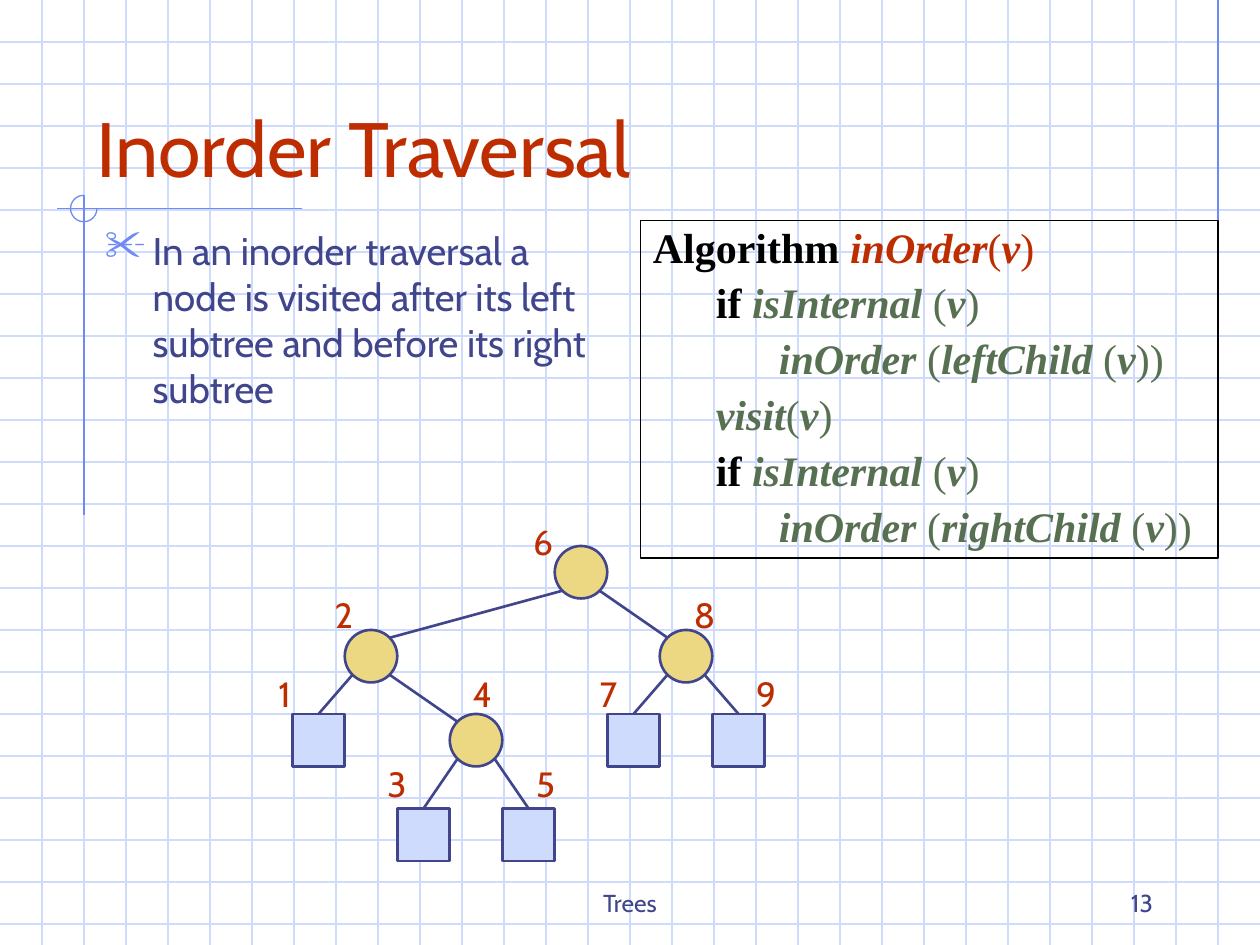
from lxml.etree import SubElement
from pptx import Presentation
from pptx.dml.color import RGBColor
from pptx.enum.shapes import MSO_CONNECTOR, MSO_SHAPE
from pptx.enum.text import MSO_ANCHOR, PP_ALIGN
from pptx.oxml.ns import qn
from pptx.util import Inches, Pt

COLS, ROWS = 30, 22.5
SIDE = 1.25
HUES = {
    "grid": "CFDBFD", "rule": "6F89F7", "ink": "40458C", "red": "BE2D00",
    "gold": "ECD882", "green": "577052", "black": "000000",
}
LEVELS = [13, 15, 17, 19.25]
LABELS = [12.24, 13.98, 15.87, 18]
NODES = {
    1: (2, 2, 6.24), 2: (1, 6, 7.65), 3: (3, 4, 8.91),
    4: (2, 2, 10.95), 5: (3, 4, 12.45), 6: (0, None, 12.39),
    7: (2, 8, 13.95), 8: (1, 6, 16.23), 9: (2, 8, 17.7),
}
CODE = [
    (0, "Algorithm |inOrder|(|v|)"),
    (1, "if |isInternal |(|v|)"),
    (2, "inOrder| (|leftChild |(|v|))"),
    (1, "visit|(|v|)"),
    (1, "if |isInternal |(|v|)"),
    (2, "inOrder| (|rightChild |(|v|))"),
]


def cell(num):
    """Turn a count of grid cells into a length."""
    return Inches(num / 3)


def hue(name):
    """Look up a colour by name."""
    return RGBColor.from_string(HUES[name])


def line(slide, ends, color, width=0.75):
    """Draw a straight line between two grid points."""
    link = slide.shapes.add_connector(MSO_CONNECTOR.STRAIGHT, *map(cell, ends))
    link.line.color.rgb = hue(color)
    link.line.width = Pt(width)
    SubElement(link._element.spPr, qn("a:effectLst"))


def shape(slide, kind, box, color, width=0.75, fill=None):
    """Draw a preset shape in a box of grid cells."""
    item = slide.shapes.add_shape(kind, *map(cell, box))
    item.shadow.inherit = False
    item.line.color.rgb = hue(color)
    item.line.width = Pt(width)
    if fill:
        item.fill.solid()
        item.fill.fore_color.rgb = hue(fill)
    else:
        item.fill.background()
    return item


def write(para, text, size=14, color="ink", font="Cabin", bold=False, slant=False):
    """Add one run of formatted text to a paragraph."""
    run = para.add_run()
    run.text = text
    run.font.size, run.font.name = Pt(size), font
    run.font.bold, run.font.italic = bold, slant
    run.font.color.rgb = hue(color)


def label(slide, box, text, align=PP_ALIGN.LEFT, anchor=MSO_ANCHOR.TOP, wrap=True, **style):
    """Add a text box and return its paragraph."""
    frame = slide.shapes.add_textbox(*map(cell, box)).text_frame
    frame.word_wrap, frame.vertical_anchor = wrap, anchor
    para = frame.paragraphs[0]
    para.alignment = align
    write(para, text, **style)
    return para


def bullet(para, char, color):
    """Give a paragraph a hanging bullet."""
    props = para._p.get_or_add_pPr()
    props.set("marL", str(Inches(0.38)))
    props.set("indent", str(-Inches(0.38)))
    tint = SubElement(props, qn("a:buClr"))
    SubElement(tint, qn("a:srgbClr"), val=HUES[color])
    SubElement(props, qn("a:buSzPct"), val="110000")
    SubElement(props, qn("a:buChar"), char=char)


def paper(slide):
    """Draw the squared paper and its margin rules."""
    for row in range(1, 23):
        line(slide, (0, row, COLS, row), "grid")
    for col in range(1, 30):
        line(slide, (col, 0, col, ROWS), "grid")
    for ends in [(29, 0, 29, 7.74), (7.2, 4.97, 1.35, 4.97), (2, 4.65, 2, 12.27)]:
        line(slide, ends, "rule")
    arc = shape(slide, MSO_SHAPE.ARC, (1.68, 4.65, 0.63, 0.63), "rule")
    arc.adjustments[0], arc.adjustments[1] = 0, 162


def code(slide):
    """Write the framed algorithm."""
    frame = shape(slide, MSO_SHAPE.RECTANGLE, (15.25, 5.25, 13.75, 8.04), "black").text_frame
    frame.word_wrap, frame.vertical_anchor = True, MSO_ANCHOR.TOP
    for row, (depth, text) in enumerate(CODE):
        para = frame.add_paragraph() if row else frame.paragraphs[0]
        para.alignment, para.level, para.line_spacing = PP_ALIGN.LEFT, depth, 0.9
        para._p.get_or_add_pPr().set("marL", str(Inches(depth / 2)))
        if row:
            para.space_before = Pt(6)
        for part in text.split("|"):
            word = part in ("Algorithm ", "if ")
            name = not word and "(" not in part and ")" not in part
            color = "black" if word else "green" if row else "red"
            write(para, part, size=24, color=color, font="Times New Roman",
                  bold=word or name, slant=name)


def spot(num):
    """Find the left and top of a node from its visit number."""
    return 6.96 + (num - 1) * SIDE, LEVELS[NODES[num][0]]


def edge(slide, num, mum, inner):
    """Join a node to its parent."""
    half = SIDE / 2
    bend = half * 0.7
    (left, top), (over, high) = spot(num), spot(mum)
    way = 1 if num > mum else -1
    tip = (left + half - way * bend, top + half - bend) if inner else (left + half, top)
    line(slide, (over + half + way * bend, high + half + bend, *tip), "ink", 1.5)


def tree(slide):
    """Draw the numbered binary tree."""
    inner = {mum for _, mum, _ in NODES.values()}
    for num in NODES:
        kind, fill = (MSO_SHAPE.OVAL, "gold") if num in inner else (MSO_SHAPE.RECTANGLE, "grid")
        shape(slide, kind, (*spot(num), SIDE, SIDE), "ink", 1.5, fill)
    for num, (level, mum, col) in NODES.items():
        if mum:
            edge(slide, num, mum, num in inner)
        label(slide, (col, LABELS[level], 1.08, 1.32), str(num), align=PP_ALIGN.CENTER,
              wrap=False, size=20, color="red")


def main():
    """Build and save the slide."""
    deck = Presentation()
    deck.slide_width, deck.slide_height = cell(COLS), cell(ROWS)
    slide = deck.slides.add_slide(deck.slide_layouts[6])
    paper(slide)
    low = MSO_ANCHOR.BOTTOM
    label(slide, (10.25, 20.5, 9.5, 1.5), "Trees", align=PP_ALIGN.CENTER, anchor=low)
    label(slide, (21.5, 20.5, 6.25, 1.5), "13", align=PP_ALIGN.RIGHT, anchor=low)
    label(slide, (2, 1, 25.5, 3.75), "Inorder Traversal", anchor=low, size=44, color="red")
    body = label(slide, (2.2, 5.25, 12.3, 8.5),
                 "In an inorder traversal a node is visited after its left subtree "
                 "and before its right subtree", size=22)
    bullet(body, "✂", "rule")
    code(slide)
    tree(slide)
    deck.save("out.pptx")


if __name__ == "__main__":
    main()
